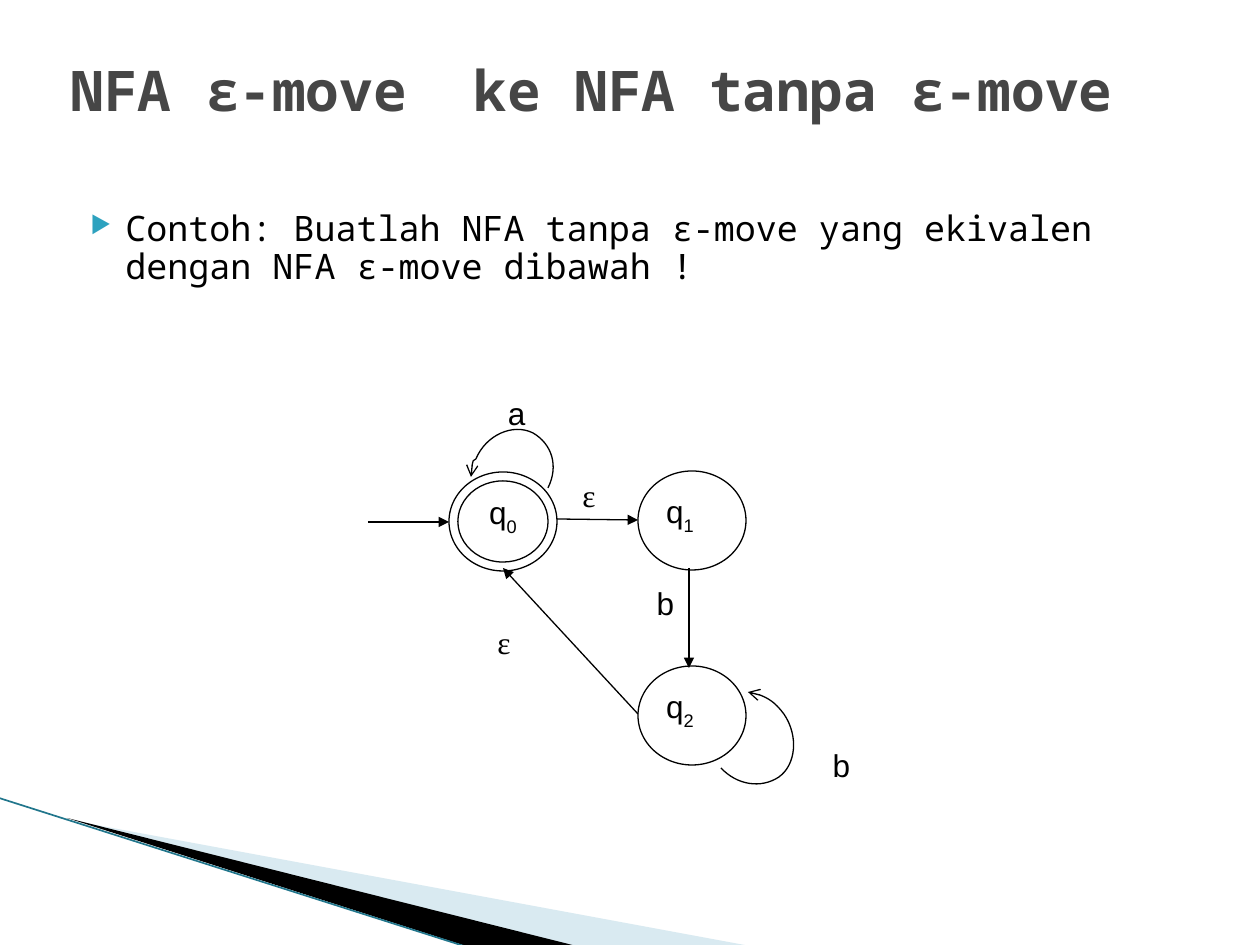
from dataclasses import dataclass

from lxml.etree import SubElement
from pptx import Presentation
from pptx.dml.color import RGBColor
from pptx.enum.shapes import MSO_CONNECTOR, MSO_SHAPE
from pptx.enum.text import MSO_ANCHOR, PP_ALIGN
from pptx.oxml.ns import qn
from pptx.util import Emu, Pt

PX = 914400 / 126


@dataclass(frozen=True)
class Theme:
    ink: RGBColor = RGBColor(0, 0, 0)
    paper: RGBColor = RGBColor(255, 255, 255)
    title: RGBColor = RGBColor.from_string("464646")
    bullet: str = "2DA2BF"
    wedge: RGBColor = RGBColor.from_string("A0CBDC")
    edge: RGBColor = RGBColor.from_string("21768C")
    mono: str = "Noto Sans Mono"
    sans: str = "Arial"
    serif: str = "Times New Roman"
    title_size: int = 32
    body_size: int = 20
    label_size: int = 18
    thin: float = 0.75


theme = Theme()


def px(*lengths):
    return [Emu(round(length * PX)) for length in lengths]


def write(shape, words, font, size, color=theme.ink, align=PP_ALIGN.LEFT):
    """Fill a shape with one paragraph; words after the first are subscripts."""
    shape.text_frame.word_wrap = True
    shape.text_frame.vertical_anchor = MSO_ANCHOR.TOP
    para = shape.text_frame.paragraphs[0]
    para.alignment = align
    for index, word in enumerate(words):
        span = para.add_run()
        span.text = word
        span.font.name = font
        span.font.size = Pt(size)
        span.font.color.rgb = color
        if index:
            span.font._element.set("baseline", "-30000")
    return para


deck = Presentation()
deck.slide_width, deck.slide_height = px(1260, 945)
slide = deck.slides.add_slide(deck.slide_layouts[6])
shapes = slide.shapes

# Corner wedges
wedges = [
    (theme.wedge, 40, [(69, 820), (750, 946), (575, 946)]),
    (theme.ink, 100, [(67, 818), (576, 946), (469, 947)]),
]
for color, opacity, points in wedges:
    builder = shapes.build_freeform(*points[0], scale=PX)
    builder.add_line_segments(points[1:], close=True)
    wedge = builder.convert_to_shape()
    wedge.shadow.inherit = False
    wedge.fill.solid()
    wedge.fill.fore_color.rgb = color
    wedge.line.fill.background()
    if opacity < 100:
        fill_color = wedge._element.spPr.find(qn("a:solidFill"))[0]
        SubElement(fill_color, qn("a:alpha"), val=str(opacity * 1000))

edge = shapes.add_connector(MSO_CONNECTOR.STRAIGHT, *px(-1, 798, 467, 947))
edge.line.color.rgb = theme.edge
edge.line.width = Pt(0.95)
SubElement(edge._element.spPr, qn("a:effectLst"))

# Body and title
body = shapes.add_textbox(*px(63, 205, 1134, 101))
para = write(
    body,
    ["Contoh: Buatlah NFA tanpa ε-move yang ekivalen dengan NFA ε-move dibawah !"],
    theme.mono,
    theme.body_size,
)
para.line_spacing = 0.9
properties = para._p.get_or_add_pPr()
margin, indent = px(50, -35)
properties.set("marL", str(margin))
properties.set("indent", str(indent))
bullet_color = SubElement(properties, qn("a:buClr"))
SubElement(bullet_color, qn("a:srgbClr"), val=theme.bullet)
SubElement(properties, qn("a:buSzPct"), val="68000")
SubElement(properties, qn("a:buChar"), char="▶")

title = shapes.add_textbox(*px(42, 10, 1134, 158))
para = write(
    title,
    ["NFA ε-move  ke NFA tanpa ε-move "],
    theme.mono,
    theme.title_size,
    theme.title,
    PP_ALIGN.CENTER,
)
para.runs[0].font.bold = True
title.text_frame.vertical_anchor = MSO_ANCHOR.MIDDLE

# States
states = [
    ("0", MSO_SHAPE.DONUT, 449, 472, PP_ALIGN.CENTER),
    ("1", MSO_SHAPE.FLOWCHART_CONNECTOR, 638, 471, PP_ALIGN.LEFT),
    ("2", MSO_SHAPE.FLOWCHART_CONNECTOR, 638, 666, PP_ALIGN.LEFT),
]
for number, kind, left, top, align in states:
    state = shapes.add_shape(kind, *px(left, top, 108, 99))
    state.shadow.inherit = False
    state.fill.solid()
    state.fill.fore_color.rgb = theme.paper
    state.line.color.rgb = theme.ink
    state.line.width = Pt(theme.thin)
    if kind == MSO_SHAPE.DONUT:
        state.adjustments[0] = 0.09
    write(state, ["q", number], theme.sans, theme.label_size, align=align)

# Straight transitions
transitions = [
    (368, 522, 449, 522),
    (557, 519, 638, 520),
    (689, 568, 689, 668),
    (638, 714, 503, 568),
]
for ends in transitions:
    arrow = shapes.add_connector(MSO_CONNECTOR.STRAIGHT, *px(*ends))
    arrow.line.color.rgb = theme.ink
    arrow.line.width = Pt(theme.thin)
    SubElement(arrow.line._get_or_add_ln(), qn("a:tailEnd"), type="triangle")
    SubElement(arrow._element.spPr, qn("a:effectLst"))

# Self loops: a start point, then three points for each Bézier curve
loops = [
    [(748, 692), (761, 693), (775, 702), (784, 714), (799, 736),
     (796, 765), (779, 777), (761, 789), (737, 785), (721, 768)],
    [(471, 477), (471, 468), (473, 459), (476, 459), (486, 435),
     (513, 423), (533, 433), (552, 444), (559, 466), (548, 488)],
]
for points in loops:
    builder = shapes.build_freeform(*points[0], scale=PX)
    builder.add_line_segments(points[1:], close=False)
    loop = builder.convert_to_shape()
    loop.shadow.inherit = False
    loop.fill.background()
    loop.line.color.rgb = theme.ink
    loop.line.width = Pt(theme.thin)
    SubElement(loop.line._get_or_add_ln(), qn("a:headEnd"), type="arrow")
    segments = list(loop._element.iter(qn("a:lnTo")))
    outline = segments[0].getparent()
    for first in range(0, len(segments), 3):
        curve = SubElement(outline, qn("a:cubicBezTo"))
        for segment in segments[first:first + 3]:
            curve.append(segment[0])
            outline.remove(segment)

# Transition labels
labels = [
    ("a", 476, 388, theme.sans, PP_ALIGN.CENTER),
    ("b", 801, 740, theme.sans, PP_ALIGN.CENTER),
    ("b", 625, 578, theme.sans, PP_ALIGN.CENTER),
    ("ε", 485, 617, theme.serif, PP_ALIGN.LEFT),
    ("ε", 570, 470, theme.serif, PP_ALIGN.LEFT),
]
for symbol, left, top, font, align in labels:
    label = shapes.add_textbox(*px(left, top, 81, 49))
    write(label, [symbol], font, theme.label_size, align=align)

deck.save("out.pptx")
